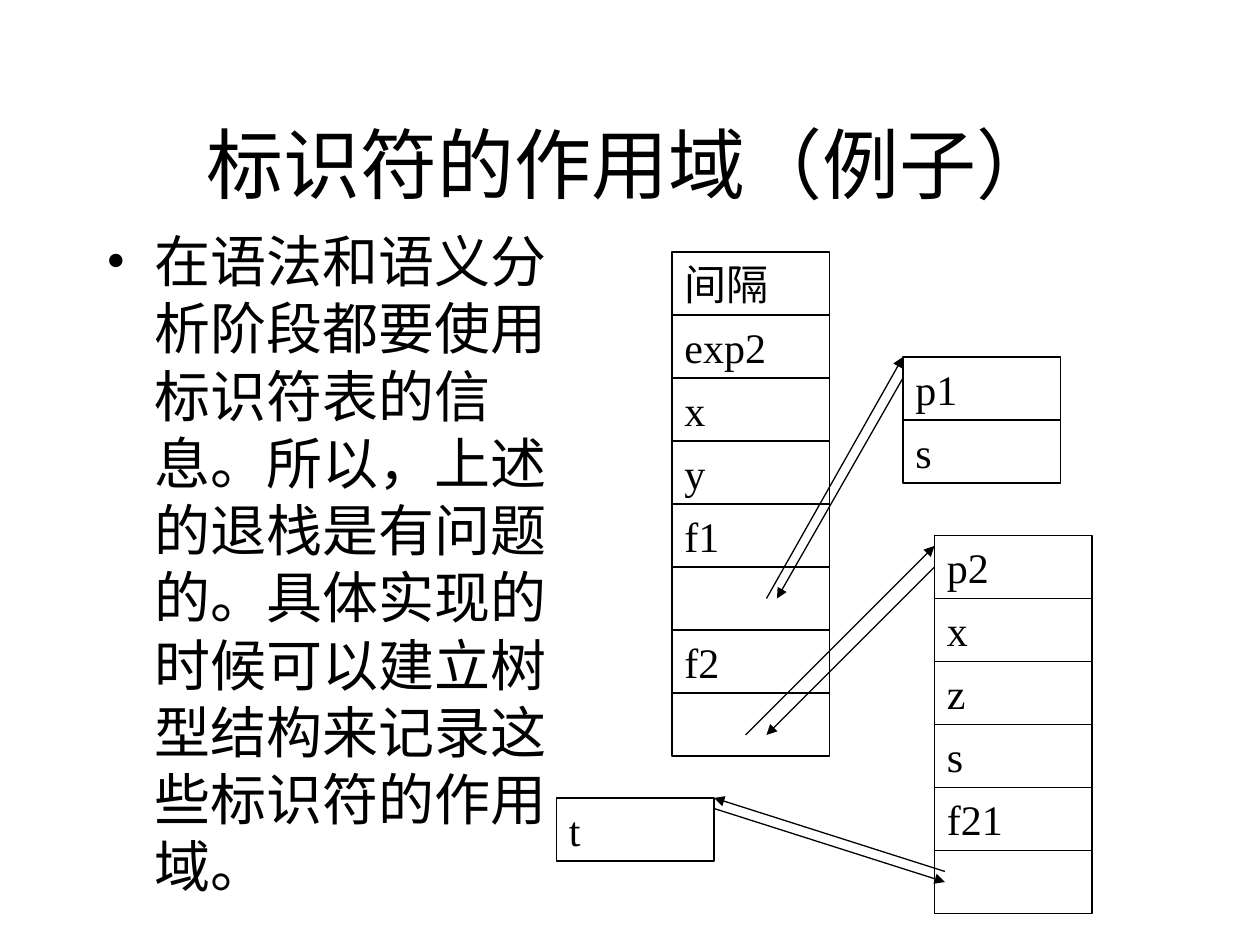
from dataclasses import dataclass
from typing import Any

from lxml import etree
from pptx import Presentation
from pptx.dml.color import RGBColor
from pptx.enum.shapes import MSO_CONNECTOR, MSO_SHAPE
from pptx.enum.text import MSO_ANCHOR, MSO_AUTO_SIZE, PP_ALIGN
from pptx.oxml.ns import qn
from pptx.util import Pt

RECT = MSO_SHAPE.RECTANGLE
STRAIGHT = MSO_CONNECTOR.STRAIGHT
TOP, MIDDLE = MSO_ANCHOR.TOP, MSO_ANCHOR.MIDDLE
LEFT, CENTER = PP_ALIGN.LEFT, PP_ALIGN.CENTER
NO_FIT = MSO_AUTO_SIZE.NONE


@dataclass(frozen=True)
class Theme:
    ink: RGBColor = RGBColor(0, 0, 0)
    face: str = "Times New Roman"
    title: int = 44
    body: int = 32
    cell: int = 24
    line: float = 0.75


@dataclass(frozen=True)
class Stack:
    left: int
    top: int
    names: tuple[str, ...]


@dataclass(frozen=True)
class Arrow:
    start: tuple[int, int]
    end: tuple[int, int]


THEME = Theme()
CELL_W, CELL_H = 90, 36
TITLE = "标识符的作用域（例子）"
BODY = (
    "在语法和语义分析阶段都要使用标识符表的信息。所以，上述的退栈是有问题的。"
    "具体实现的时候可以建立树型结构来记录这些标识符的作用域。"
)
STACKS = (
    Stack(384, 144, ("间隔", "exp2", "x", "y", "f1", "", "f2", "")),
    Stack(516, 204, ("p1", "s")),
    Stack(534, 306, ("p2", "x", "z", "s", "f21", "")),
    Stack(318, 456, ("t",)),
)
ARROWS = (
    Arrow((438, 342), (516, 204)),
    Arrow((516, 216), (444, 342)),
    Arrow((426, 420), (534, 312)),
    Arrow((534, 324), (438, 420)),
    Arrow((540, 498), (408, 456)),
    Arrow((408, 462), (540, 504)),
)


def apply(target: Any, values: dict[str, Any]) -> None:
    for key, value in values.items():
        setattr(target, key, value)


def write(shape: Any, text: str, size: int, align: Any, anchor: Any) -> None:
    frame = shape.text_frame
    frame.text = text
    apply(frame, {
        "word_wrap": True, "auto_size": NO_FIT, "vertical_anchor": anchor,
        "margin_left": Pt(7.2), "margin_right": Pt(7.2),
        "margin_top": Pt(3.6), "margin_bottom": Pt(3.6),
    })
    para = frame.paragraphs[0]
    apply(para, {"alignment": align, "space_before": Pt(0)})
    for run in para.runs:
        apply(run.font, {"name": THEME.face, "size": Pt(size)})
        run.font.color.rgb = THEME.ink


def add_title(slide: Any) -> None:
    title = slide.shapes.title
    apply(title, {"left": Pt(54), "top": Pt(48), "width": Pt(612), "height": Pt(90)})
    write(title, TITLE, THEME.title, CENTER, MIDDLE)


def add_body(slide: Any) -> None:
    box = slide.shapes.add_textbox(Pt(54), Pt(126), Pt(270), Pt(378))
    write(box, BODY, THEME.body, LEFT, TOP)
    props = box.text_frame.paragraphs[0]._p.get_or_add_pPr()
    values = {"marL": str(Pt(27)), "indent": str(Pt(-27)), "hangingPunct": "0"}
    for key, value in values.items():
        props.set(key, value)
    etree.SubElement(props, qn("a:buFont")).set("typeface", THEME.face)
    etree.SubElement(props, qn("a:buChar")).set("char", "•")


def add_stack(slide: Any, stack: Stack) -> None:
    for row, name in enumerate(stack.names):
        top = stack.top + row * CELL_H
        cell = slide.shapes.add_shape(
            RECT, Pt(stack.left), Pt(top), Pt(CELL_W), Pt(CELL_H))
        cell.shadow.inherit = False
        cell.fill.background()
        cell.line.color.rgb = THEME.ink
        cell.line.width = Pt(THEME.line)
        write(cell, name, THEME.cell, LEFT, TOP)


def add_arrow(slide: Any, arrow: Arrow) -> None:
    points = (Pt(value) for value in arrow.start + arrow.end)
    link = slide.shapes.add_connector(STRAIGHT, *points)
    link.line.color.rgb = THEME.ink
    link.line.width = Pt(THEME.line)
    props = link._element.spPr
    tail = etree.SubElement(props.find(qn("a:ln")), qn("a:tailEnd"))
    tail.set("type", "triangle")
    etree.SubElement(props, qn("a:effectLst"))


def main() -> None:
    deck = Presentation()
    apply(deck, {"slide_width": Pt(720), "slide_height": Pt(540)})
    slide = deck.slides.add_slide(deck.slide_layouts.get_by_name("Title Only"))
    add_title(slide)
    add_body(slide)
    for stack in STACKS:
        add_stack(slide, stack)
    for arrow in ARROWS:
        add_arrow(slide, arrow)
    deck.save("out.pptx")


if __name__ == "__main__":
    main()
